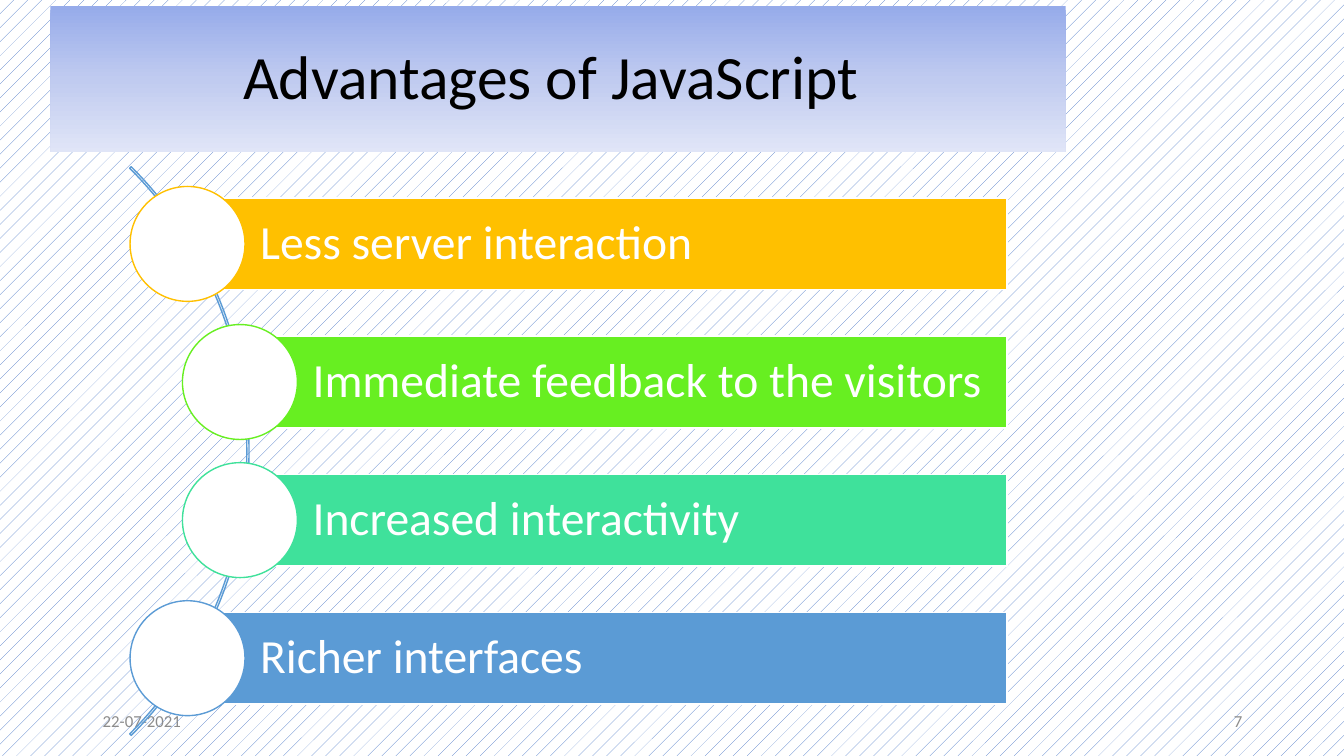
from copy import deepcopy

from pptx import Presentation
from pptx.dml.color import RGBColor
from pptx.enum.dml import MSO_PATTERN
from pptx.enum.shapes import MSO_SHAPE
from pptx.enum.text import MSO_ANCHOR, PP_ALIGN
from pptx.oxml.ns import qn
from pptx.util import Inches, Pt

RECT, OVAL, ARC = MSO_SHAPE.RECTANGLE, MSO_SHAPE.OVAL, MSO_SHAPE.BLOCK_ARC
LEFT, CENTER, RIGHT = PP_ALIGN.LEFT, PP_ALIGN.CENTER, PP_ALIGN.RIGHT
MIDDLE = MSO_ANCHOR.MIDDLE
DOTS = MSO_PATTERN.PERCENT_5

FONT = "Calibri"
BLACK = RGBColor(0x00, 0x00, 0x00)
WHITE = RGBColor(0xFF, 0xFF, 0xFF)
GREY = RGBColor(0x8C, 0x8C, 0x8C)
DOT_BLUE = RGBColor(0x44, 0x72, 0xC4)
GOLD = RGBColor(0xFF, 0xC0, 0x00)
LIME = RGBColor(0x67, 0xEF, 0x21)
MINT = RGBColor(0x3F, 0xE1, 0x9B)
BLUE = RGBColor(0x5B, 0x9B, 0xD5)
TITLE_STOPS = [
    (0, RGBColor(0x96, 0xAB, 0xEA)),
    (0.5, RGBColor(0xC0, 0xCB, 0xF0)),
    (1, RGBColor(0xE0, 0xE5, 0xF7)),
]

# Text, colour and indent of each bar from the left of the list
ADVANTAGES = [
    ("Less server interaction", GOLD, 0.57),
    ("Immediate feedback to the visitors", LIME, 1.09),
    ("Increased interactivity", MINT, 1.09),
    ("Richer interfaces", BLUE, 0.57),
]


def write(shape, text, size, color, align=LEFT):
    frame = shape.text_frame
    frame.word_wrap = True
    frame.vertical_anchor = MIDDLE
    frame.text = text
    paragraph = frame.paragraphs[0]
    paragraph.alignment = align
    paragraph.font.name = FONT
    paragraph.font.size = Pt(size)
    paragraph.font.color.rgb = color
    return paragraph


def add_outlined(slide, kind, box, fill, line):
    shape = slide.shapes.add_shape(kind, *map(Inches, box))
    shape.shadow.inherit = False
    if fill is None:
        shape.fill.background()
    else:
        shape.fill.solid()
        shape.fill.fore_color.rgb = fill
    shape.line.color.rgb = line
    shape.line.width = Pt(1)
    return shape


def add_title(slide, text, left, top, width, height):
    title = slide.shapes.title
    title.left, title.top = Inches(left), Inches(top)
    title.width, title.height = Inches(width), Inches(height)
    title.fill.gradient()
    title.fill.gradient_angle = 270
    # A third stop for the middle of the gradient
    stops = title._element.spPr.find(".//" + qn("a:gsLst"))
    stops.insert(1, deepcopy(stops[0]))
    for stop, (position, color) in zip(title.fill.gradient_stops, TITLE_STOPS):
        stop.position = position
        stop.color.rgb = color
    write(title, text, 44, BLACK, CENTER).line_spacing = 0.9


def add_curved_list(slide, left, top, width, height):
    # Arc that the circles sit on
    diameter = 7.98
    arc_box = (left + 1.18 - diameter, top + (height - diameter) / 2,
               diameter, diameter)
    arc = add_outlined(slide, ARC, arc_box, None, BLUE)
    for index, value in enumerate((189, 27, 0.0027)):
        arc.adjustments[index] = value

    # Bars, each with a circle centred on its left end
    bar_height, circle = 0.91, 1.14
    pitch = (height - circle) / (len(ADVANTAGES) - 1)
    for row, (text, color, indent) in enumerate(ADVANTAGES):
        middle = top + circle / 2 + row * pitch
        bar_box = (left + indent, middle - bar_height / 2,
                   width - indent, bar_height)
        bar = add_outlined(slide, RECT, bar_box, color, WHITE)
        write(bar, text, 34, WHITE).line_spacing = 0.9
        frame = bar.text_frame
        frame.margin_left = Inches(0.72)
        frame.margin_right = frame.margin_top = frame.margin_bottom = Inches(0.09)
        circle_box = (left + indent - circle / 2, middle - circle / 2,
                      circle, circle)
        add_outlined(slide, OVAL, circle_box, WHITE, color)


def add_footer(slide, left, top, width, height):
    field = 3
    for text, x, align in (("22-07-2021", left, LEFT),
                           ("7", left + width - field, RIGHT)):
        box = slide.shapes.add_textbox(*map(Inches, (x, top, field, height)))
        write(box, text, 12, GREY, align)


def main():
    deck = Presentation()
    deck.slide_width, deck.slide_height = Inches(13.33), Inches(7.5)
    slide = deck.slides.add_slide(deck.slide_layouts[5])

    # Dotted background
    backdrop = slide.background.fill
    backdrop.patterned()
    backdrop.pattern = DOTS
    backdrop.fore_color.rgb = DOT_BLUE
    backdrop.back_color.rgb = WHITE

    add_footer(slide, 0.92, 6.95, 11.5, 0.4)
    add_title(slide, "Advantages of JavaScript ", 0.5, 0.06, 10.07, 1.45)
    add_curved_list(slide, 1.29, 1.85, 8.7, 5.25)
    deck.save("out.pptx")


if __name__ == "__main__":
    main()
